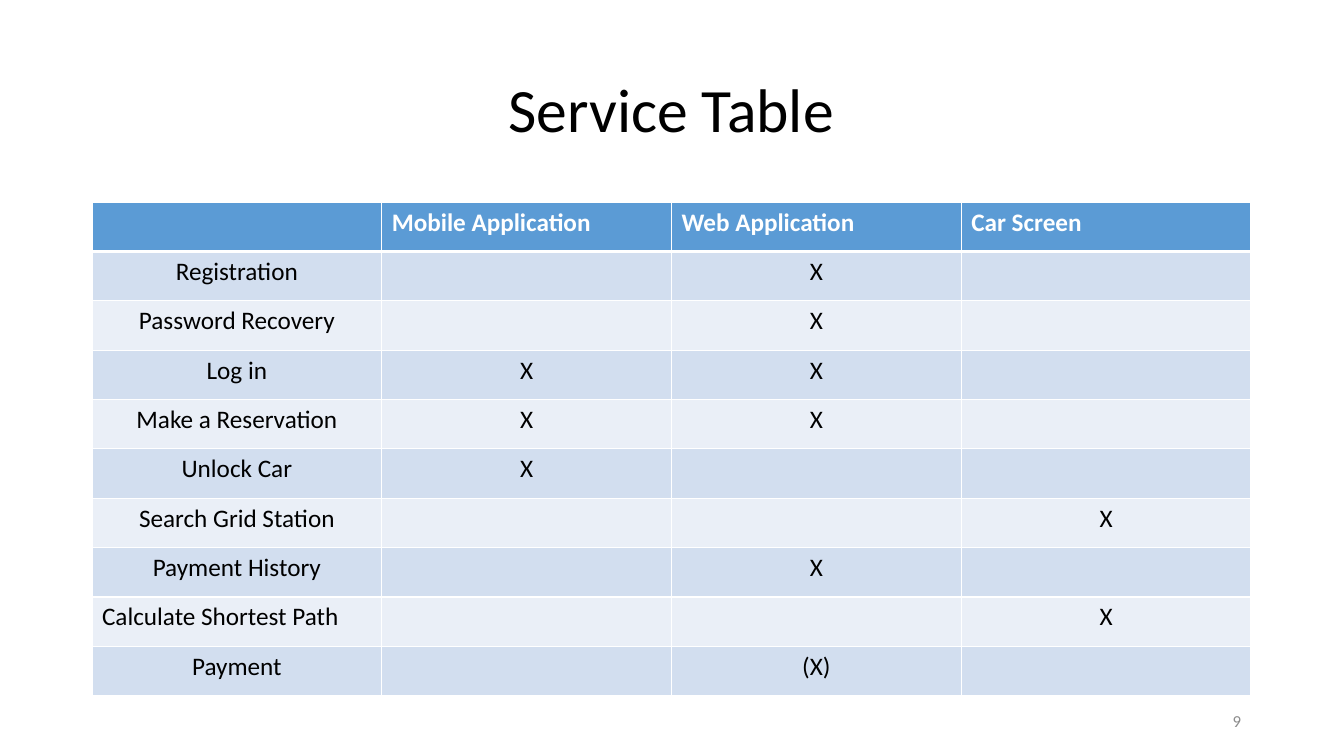
from lxml import etree
from pptx import Presentation, util as u
from pptx.dml.color import RGBColor
from pptx.enum import text as t
from pptx.oxml import ns

PX = 914400 / 100.8
FONT = "Calibri"
HUES = {
    "black": "000000",
    "white": "FFFFFF",
    "head": "5B9BD5",
    "odd": "D2DEEF",
    "even": "EAEFF7",
    "page": "8C8C8C",
}
HEADS = ["", "Mobile Application", "Web Application", "Car Screen"]
ROWS = [
    ["Registration", "", "X", ""],
    ["Password Recovery", "", "X", ""],
    ["Log in", "X", "X", ""],
    ["Make a Reservation", "X", "X", ""],
    ["Unlock Car", "X", "", ""],
    ["Search Grid Station", "", "", "X"],
    ["Payment History", "", "X", ""],
    ["Calculate Shortest Path", "", "", "X"],
    ["Payment", "", "(X)", ""],
]
LEFT_SET = "Calculate Shortest Path"


def emu(px):
    return u.Emu(round(px * PX))


def tint(name):
    return RGBColor.from_string(HUES[name])


def write(frame, words, size, hue, align, bold=False):
    para = frame.paragraphs[0]
    para.alignment = align
    run = para.add_run()
    run.text = words
    font = run.font
    font.name, font.size, font.bold = FONT, u.Pt(size), bold
    font.color.rgb = tint(hue)
    return para


def edge(cell, side, width):
    line = etree.SubElement(
        cell._tc.get_or_add_tcPr(), ns.qn("a:ln" + side), w=str(u.Pt(width))
    )
    fill = etree.SubElement(line, ns.qn("a:solidFill"))
    etree.SubElement(fill, ns.qn("a:srgbClr"), val=HUES["white"])


def add_title(slide, box):
    title = slide.shapes.title
    title.left, title.top, title.width, title.height = map(emu, box)
    frame = title.text_frame
    frame.word_wrap = True
    frame.vertical_anchor = t.MSO_ANCHOR.MIDDLE
    para = write(frame, "Service Table", 44, "black", t.PP_ALIGN.CENTER)
    para.line_spacing = 0.9


def add_grid(slide, box):
    data = [HEADS] + ROWS
    wide, high = box[2] / len(HEADS), box[3] / len(data)
    grid = slide.shapes.add_table(len(data), len(HEADS), *map(emu, box)).table
    for col in grid.columns:
        col.width = emu(wide)
    for r, line in enumerate(data):
        grid.rows[r].height = emu(high)
        top = r == 0
        shade = "head" if top else "odd" if r % 2 else "even"
        for c, words in enumerate(line):
            cell = grid.cell(r, c)
            widths = {"L": 1, "R": 1, "T": 3 if r == 1 else 1, "B": 3 if top else 1}
            for side, width in widths.items():
                edge(cell, side, width)
            cell.fill.solid()
            cell.fill.fore_color.rgb = tint(shade)
            if words:
                flush = top or words == LEFT_SET
                align = t.PP_ALIGN.LEFT if flush else t.PP_ALIGN.CENTER
                hue = "white" if top else "black"
                write(cell.text_frame, words, 18, hue, align, top)


def add_page(slide, box):
    frame = slide.shapes.add_textbox(*map(emu, box)).text_frame
    frame.word_wrap = True
    frame.vertical_anchor = t.MSO_ANCHOR.MIDDLE
    write(frame, "9", 12, "page", t.PP_ALIGN.RIGHT)


deck = Presentation()
deck.slide_width, deck.slide_height = emu(1344), emu(756)
slide = deck.slides.add_slide(deck.slide_layouts[5])
add_title(slide, (92, 40, 1159, 146))
add_grid(slide, (92, 202, 1159, 494))
add_page(slide, (949, 701, 302, 40))
deck.save("out.pptx")
